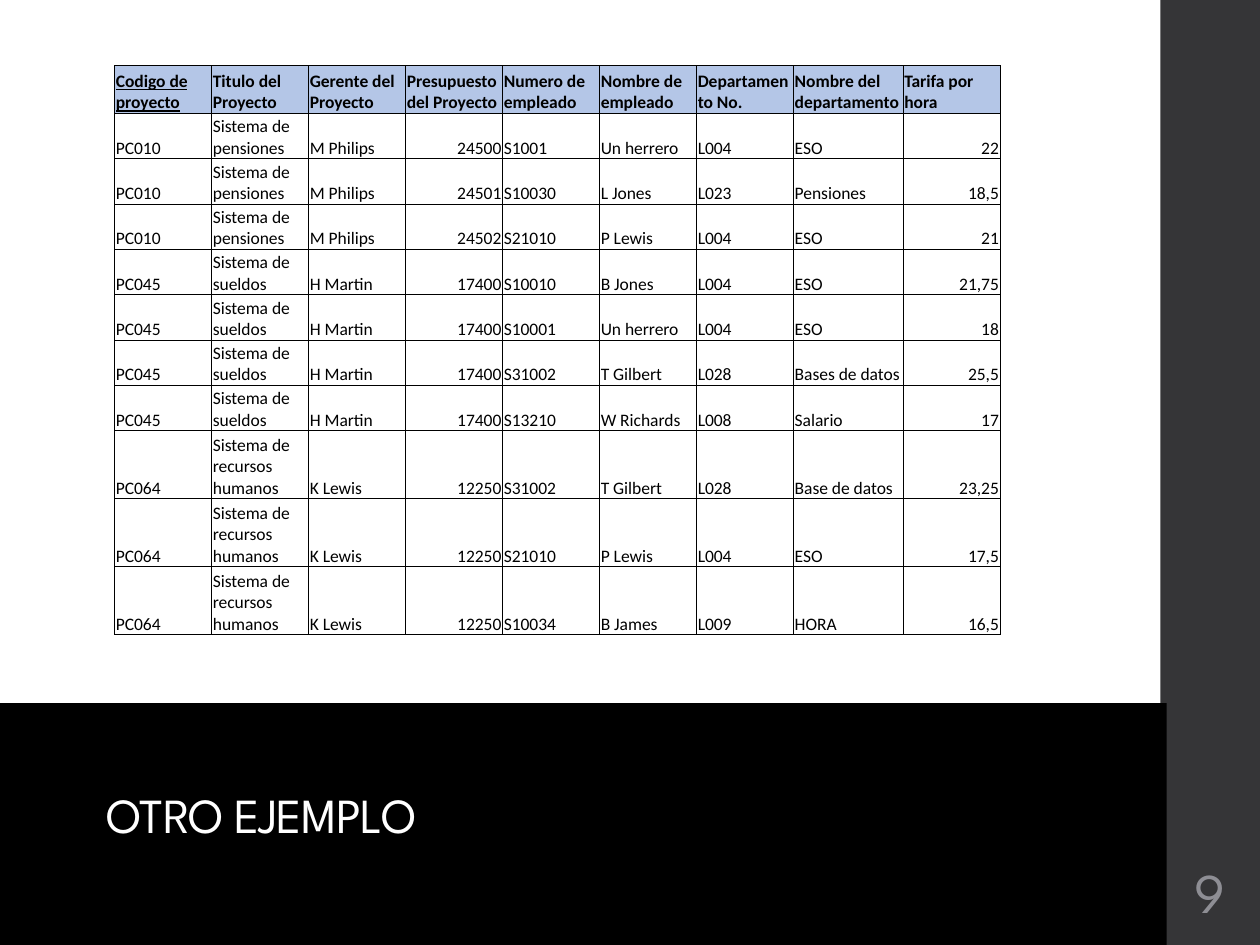
from dataclasses import dataclass

from lxml import etree
from pptx import Presentation
from pptx import util as u
from pptx.dml.color import RGBColor
from pptx.enum import shapes, text
from pptx.oxml import ns


@dataclass(frozen=True)
class Theme:
    """Colours, fonts and type sizes of the slide."""
    side: str = "353537"
    band: str = "000000"
    title: str = "FFFFFF"
    number: str = "8E8E94"
    header: str = "B4C6E7"
    ink: str = "000000"
    heading_font: str = "League Spartan"
    table_font: str = "Calibri"
    title_size: int = 28
    number_size: int = 32
    table_size: int = 10
    border: float = 0.5


THEME = Theme()

HEADERS = ["Codigo de proyecto", "Titulo del Proyecto", "Gerente del Proyecto",
           "Presupuesto del Proyecto", "Numero de empleado", "Nombre de empleado",
           "Departamento No.", "Nombre del departamento", "Tarifa por hora"]
PROJECTS = {
    "PC010": ("Sistema de pensiones", "M Philips"),
    "PC045": ("Sistema de sueldos", "H Martin"),
    "PC064": ("Sistema de recursos humanos", "K Lewis"),
}
ASSIGNMENTS = [
    ("PC010", "24500", "S1001", "Un herrero", "L004", "ESO", "22"),
    ("PC010", "24501", "S10030", "L Jones", "L023", "Pensiones", "18,5"),
    ("PC010", "24502", "S21010", "P Lewis", "L004", "ESO", "21"),
    ("PC045", "17400", "S10010", "B Jones", "L004", "ESO", "21,75"),
    ("PC045", "17400", "S10001", "Un herrero", "L004", "ESO", "18"),
    ("PC045", "17400", "S31002", "T Gilbert", "L028", "Bases de datos", "25,5"),
    ("PC045", "17400", "S13210", "W Richards", "L008", "Salario", "17"),
    ("PC064", "12250", "S31002", "T Gilbert", "L028", "Base de datos", "23,25"),
    ("PC064", "12250", "S21010", "P Lewis", "L004", "ESO", "17,5"),
    ("PC064", "12250", "S10034", "B James", "L009", "HORA", "16,5"),
]
NUMERIC_COLUMNS = (3, 8)
COLUMN_WIDTHS = [0.77] * 7 + [0.87, 0.77]
ROW_HEIGHTS = [0.38] + [0.36] * 7 + [0.54] * 3


def add_run(paragraph, words, font, size, color):
    """Add one styled run to a paragraph and return it."""
    run = paragraph.add_run()
    run.text = words
    run.font.name = font
    run.font.size = u.Pt(size)
    run.font.color.rgb = RGBColor.from_string(color)
    return run


def set_margins(target, left, top, right, bottom):
    """Set the inner margins of a text frame or cell in inches."""
    target.margin_left, target.margin_top = u.Inches(left), u.Inches(top)
    target.margin_right, target.margin_bottom = u.Inches(right), u.Inches(bottom)


def add_panel(slide, box, color):
    """Add a plain filled rectangle."""
    panel = slide.shapes.add_shape(shapes.MSO_SHAPE.RECTANGLE, *map(u.Inches, box))
    panel.shadow.inherit = False
    panel.fill.solid()
    panel.fill.fore_color.rgb = RGBColor.from_string(color)
    panel.line.fill.background()


def add_label(slide, box, words, size, color, anchor, margins):
    """Add a heading-font text box; return its paragraph and run."""
    frame = slide.shapes.add_textbox(*map(u.Inches, box)).text_frame
    frame.word_wrap = True
    frame.vertical_anchor = anchor
    set_margins(frame, *margins)
    paragraph = frame.paragraphs[0]
    return paragraph, add_run(paragraph, words, THEME.heading_font, size, color)


def add_borders(cell):
    """Draw a thin line on all four sides of a cell."""
    properties = cell._tc.get_or_add_tcPr()
    for side in ("a:lnL", "a:lnR", "a:lnT", "a:lnB"):
        line = etree.SubElement(properties, ns.qn(side), w=str(u.Pt(THEME.border)))
        fill = etree.SubElement(line, ns.qn("a:solidFill"))
        etree.SubElement(fill, ns.qn("a:srgbClr"), val=THEME.ink)


def fill_cell(cell, words, is_header, is_number):
    """Write and style one table cell."""
    set_margins(cell, 0.01, 0.01, 0.01, 0)
    cell.vertical_anchor = text.MSO_ANCHOR.BOTTOM
    add_borders(cell)
    if is_header:
        cell.fill.solid()
        cell.fill.fore_color.rgb = RGBColor.from_string(THEME.header)
    else:
        cell.fill.background()
    paragraph = cell.text_frame.paragraphs[0]
    right = is_number and not is_header
    paragraph.alignment = text.PP_ALIGN.RIGHT if right else text.PP_ALIGN.LEFT
    run = add_run(paragraph, words, THEME.table_font, THEME.table_size, THEME.ink)
    run.font.bold = is_header
    run.font.underline = is_header and words == HEADERS[0]


def add_assignment_table(slide):
    """Add the table of projects and their assigned employees."""
    rows = [HEADERS] + [(code, *PROJECTS[code], *rest) for code, *rest in ASSIGNMENTS]
    box = (0.91, 0.52, sum(COLUMN_WIDTHS), sum(ROW_HEIGHTS))
    table = slide.shapes.add_table(len(rows), len(HEADERS), *map(u.Inches, box)).table
    table.horz_banding = False
    for column, width in zip(table.columns, COLUMN_WIDTHS):
        column.width = u.Inches(width)
    for row, height in zip(table.rows, ROW_HEIGHTS):
        row.height = u.Inches(height)
    for row_index, row in enumerate(rows):
        for column_index, words in enumerate(row):
            fill_cell(table.cell(row_index, column_index), words,
                      row_index == 0, column_index in NUMERIC_COLUMNS)


def main():
    """Build and save the slide."""
    presentation = Presentation()
    presentation.slide_width, presentation.slide_height = u.Inches(10), u.Inches(7.5)
    slide = presentation.slides.add_slide(presentation.slide_layouts[6])
    add_panel(slide, (9.21, 0, 0.79, 7.5), THEME.side)
    add_panel(slide, (0, 5.58, 9.26, 1.92), THEME.band)
    title, title_run = add_label(
        slide, (0.75, 5.75, 8.19, 1), "OTRO EJEMPLO", THEME.title_size, THEME.title,
        text.MSO_ANCHOR.BOTTOM, (0.1, 0.05, 0.1, 0.05))
    title.line_spacing = 0.9
    title_run.font._element.set("spc", "-50")
    number, _ = add_label(
        slide, (9.23, 6.75, 0.75, 0.65), "9", THEME.number_size, THEME.number,
        text.MSO_ANCHOR.MIDDLE, (0.03, 0.05, 0.03, 0.05))
    number.alignment = text.PP_ALIGN.CENTER
    number.space_after = u.Pt(6)
    add_assignment_table(slide)
    presentation.save("out.pptx")


if __name__ == "__main__":
    main()
